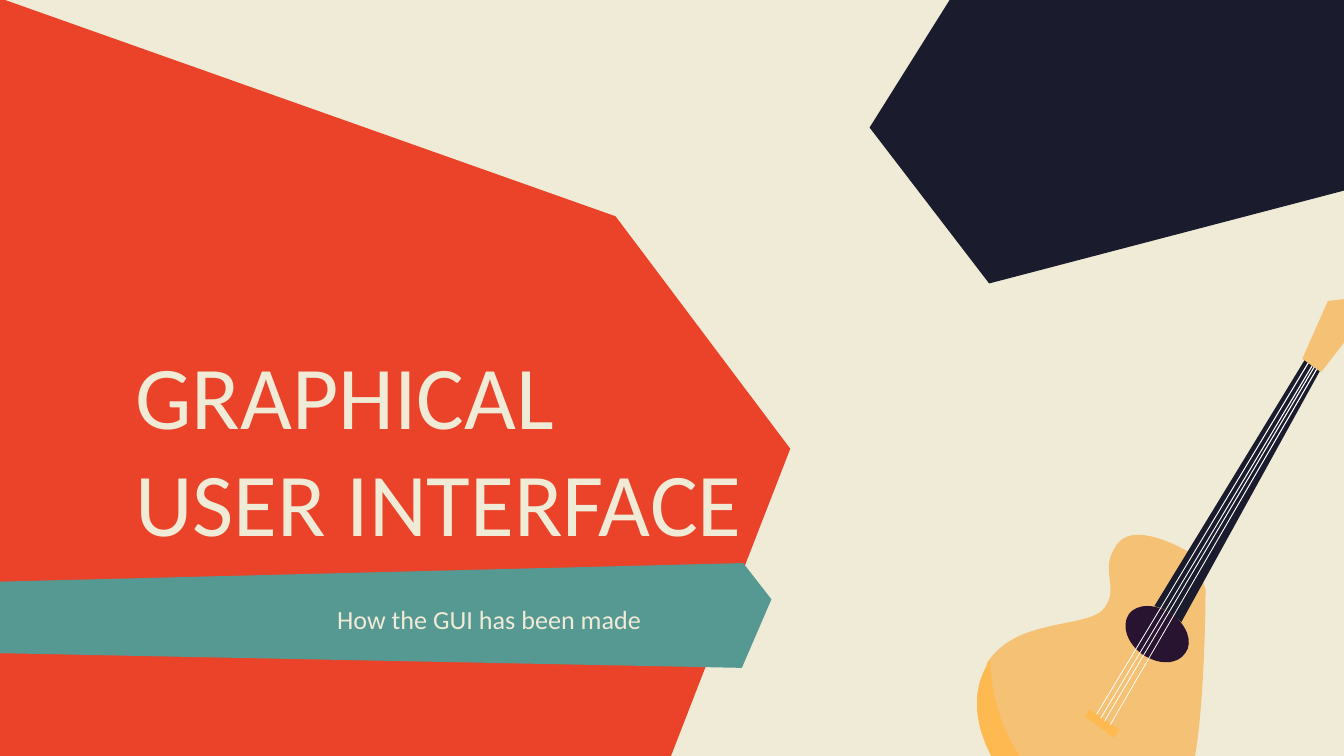
from math import cos, radians, sin

from pptx import Presentation
from pptx.dml.color import RGBColor
from pptx.enum.text import MSO_ANCHOR
from pptx.oxml.xmlchemy import OxmlElement
from pptx.util import Cm, Pt

CREAM, NAVY, RED, TEAL = "EFEBD7", "1A1B2C", "EB432A", "569992"
WOOD, AMBER, PLUM, WHITE = "F5C174", "FFB951", "281330", "FFFFFF"
TILT = 305.1

BODY = [
    (7.36, 4.91), (7.35, 4.92, 7.34, 4.94, 7.34, 4.96),
    (7.13, 5.33, 7.42, 5.86, 7.84, 6.11), (8.27, 6.36, 8.63, 6.17, 8.8, 5.93),
    (8.97, 5.69, 8.97, 4.39, 8.97, 4.39), (8.9, 4.14),
    (8.9, 4.14, 8.47, 3.86, 8.32, 4.04), (8.31, 4.05, 8.3, 4.06, 8.3, 4.07),
    (8.18, 4.24, 8.33, 4.37, 8.22, 4.52), (8.11, 4.68, 7.59, 4.59, 7.36, 4.91),
]
BRIDGE = [(8.07, 5.33), (8.29, 5.49), (8.33, 5.43), (8.11, 5.28)]
SOUND_HOLE = [
    (8.4, 4.57), (8.34, 4.66, 8.39, 4.79, 8.5, 4.87),
    (8.62, 4.95, 8.76, 4.95, 8.82, 4.86), (8.88, 4.78, 8.83, 4.65, 8.72, 4.57),
    (8.6, 4.49, 8.46, 4.49, 8.4, 4.57),
]
NECK = [
    (9.75, 2.61), (8.59, 4.51), (8.63, 4.52, 8.68, 4.54, 8.72, 4.57),
    (8.74, 4.59, 8.77, 4.61, 8.79, 4.63), (9.86, 2.69),
]
SIDE = [
    (7.36, 4.92), (7.35, 4.93, 7.34, 4.94, 7.34, 4.96),
    (7.13, 5.33, 7.42, 5.86, 7.84, 6.11), (8.27, 6.36, 8.63, 6.17, 8.8, 5.93),
    (8.64, 6.08, 8.32, 6.22, 7.83, 5.87), (7.35, 5.52, 7.37, 4.92, 7.37, 4.91),
]
HEAD = [(9.88, 2.24), (9.69, 2.67), (9.83, 2.77), (10.1, 2.42), (10.06, 2.22)]
STRINGS = [
    ((9.79, 2.6), (8.16, 5.31)), ((9.82, 2.62), (8.19, 5.34)),
    ((9.84, 2.62), (8.22, 5.36)), ((9.86, 2.63), (8.26, 5.39)),
]


def inches(value):
    return Cm(value * 2.54)


def color(code):
    return RGBColor.from_string(code)


def turn(x, y, degrees):
    angle = radians(degrees)
    return x * cos(angle) - y * sin(angle), x * sin(angle) + y * cos(angle)


def write(para, text, size, font="Calibri", fill=CREAM):
    para.text = text
    para.font.name = font
    para.font.size = Pt(size)
    para.font.color.rgb = color(fill)


def bend(shape, pieces):
    lines = iter(shape._element.xpath(".//a:path/a:lnTo"))
    for piece in pieces:
        parts = [next(lines) for _ in range(len(piece) // 2)]
        if len(parts) == 3:
            curve = OxmlElement("a:cubicBezTo")
            parts[0].addprevious(curve)
            for part in parts:
                curve.append(part[0])
                part.getparent().remove(part)


class Cover:
    """Holds the style and the current slide, and draws its elements."""

    def __init__(self, deck):
        self.page = deck.slides.add_slide(deck.slide_layouts[6])
        background = self.page.background.fill
        background.solid()
        background.fore_color.rgb = color(CREAM)

    def outline(self, pieces, fill, tilt=0):
        pairs = [piece[i:i + 2] for piece in pieces for i in range(0, len(piece), 2)]
        points = [tuple(map(inches, turn(x, y, -tilt))) for x, y in pairs]
        builder = self.page.shapes.build_freeform(*points[0])
        builder.add_line_segments(points[1:], close=True)
        shape = builder.convert_to_shape()
        bend(shape, pieces[1:])
        across, down = shape.width / 2, shape.height / 2
        center_x, center_y = turn(shape.left + across, shape.top + down, tilt)
        shape.left, shape.top = round(center_x - across), round(center_y - down)
        shape.rotation = tilt
        shape.shadow.inherit = False
        shape.fill.solid()
        shape.fill.fore_color.rgb = color(fill)
        shape.line.fill.background()

    def string(self, top, bottom, width=0.01):
        (x1, y1), (x2, y2) = top, bottom
        self.outline([top, bottom, (x2, y2 + width), (x1 + width, y1)], WHITE, TILT)

    def text(self, text, left, top, width, height, size, anchor=MSO_ANCHOR.TOP):
        box = self.page.shapes.add_textbox(*map(inches, (left, top, width, height)))
        frame = box.text_frame
        frame.word_wrap = True
        frame.vertical_anchor = anchor
        frame.margin_left = frame.margin_right = inches(0.1)
        frame.margin_top = frame.margin_bottom = inches(0.1)
        write(frame.paragraphs[0], text, size=size)


def main():
    deck = Presentation()
    deck.slide_width, deck.slide_height = Cm(25.4), Cm(14.29)
    cover = Cover(deck)

    cover.outline([(7.16, -0.15), (6.47, 0.95), (7.36, 2.11), (10.15, 1.38), (10.11, -0.03)], NAVY)
    cover.outline([(-0.17, 5.64), (-0.05, 2.8), (-0.02, -0.02), (4.58, 1.61), (5.88, 3.34),
                   (4.96, 5.71)], RED)
    cover.outline([(5.53, 4.19), (5.74, 4.46), (5.52, 4.97), (-0.05, 4.86), (-0.06, 4.33)], TEAL)

    cover.text("GRAPHICAL \vUSER INTERFACE", 0.91, 2.06, 5.07, 2.17, 48, MSO_ANCHOR.BOTTOM)
    cover.text("How the GUI has been made", 2.41, 4.39, 4.81, 0.54, 14)

    for pieces, fill in ((BODY, WOOD), (BRIDGE, AMBER), (SOUND_HOLE, PLUM), (NECK, NAVY)):
        cover.outline(pieces, fill, TILT)
    for top, bottom in STRINGS:
        cover.string(top, bottom)
    for pieces, fill in ((SIDE, AMBER), (HEAD, WOOD)):
        cover.outline(pieces, fill, TILT)

    deck.save("out.pptx")


if __name__ == "__main__":
    main()
